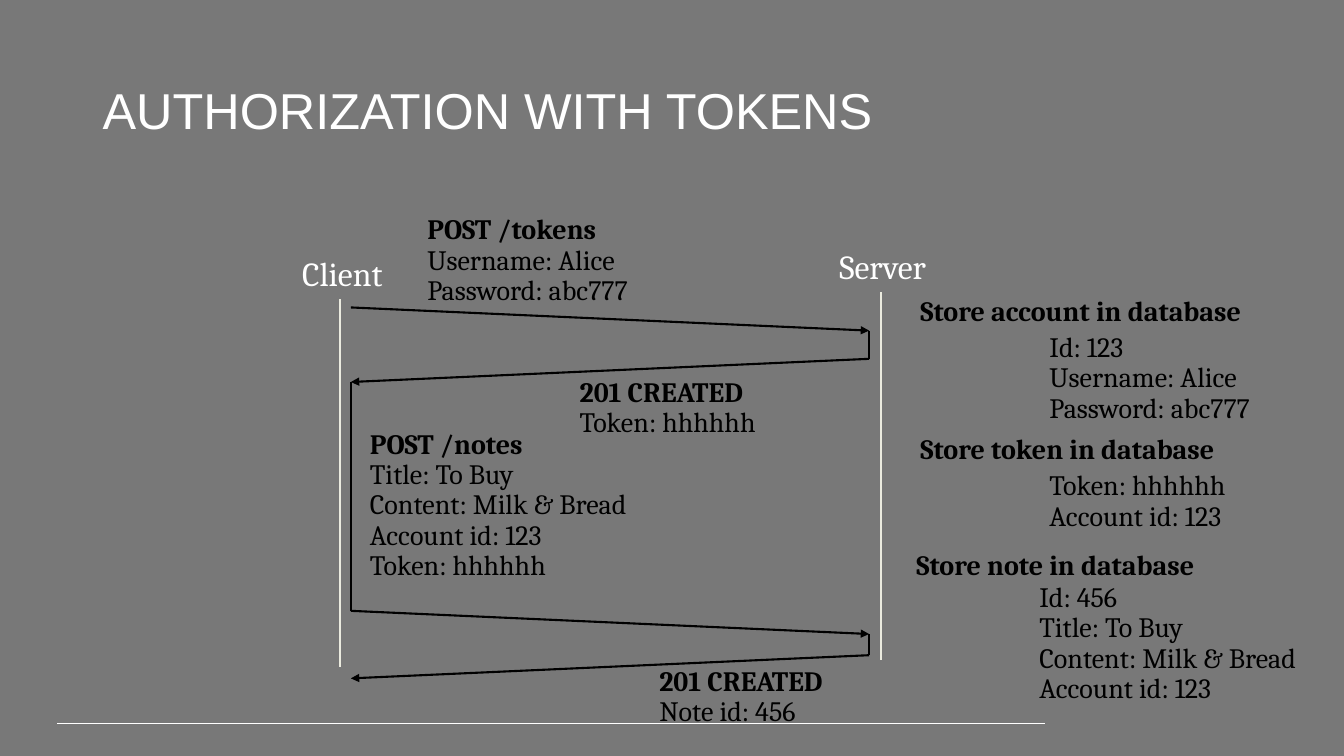
from lxml.etree import SubElement
from pptx import Presentation
from pptx.dml.color import RGBColor
from pptx.enum.shapes import MSO_CONNECTOR as Connector
from pptx.enum.text import MSO_ANCHOR as Anchor, PP_ALIGN as Align
from pptx.oxml.ns import qn
from pptx.util import Inches, Pt

COLORS = {
    "background": "787878",
    "light": "FFFFFF",
    "lifeline": "EBEBDF",
    "ink": "000000",
}
LINE_HEIGHT = 0.3
SLANT = 0.23  # drop of a message on its way across


def add_text(slide, box, lines, size=20, font="Cambria", color="ink",
             bold_lines=0, align=Align.LEFT, anchor=Anchor.TOP):
    """Place lines in one paragraph, the first bold_lines of them bold."""
    shape = slide.shapes.add_textbox(*(Inches(value) for value in box))
    frame = shape.text_frame
    frame.word_wrap = True
    frame.vertical_anchor = anchor
    paragraph = frame.paragraphs[0]
    paragraph.alignment = align
    paragraph.line_spacing = 0.9
    for index, line in enumerate(lines):
        if index:
            paragraph.add_line_break()
        run = paragraph.add_run()
        run.text = line
        run.font.name = font
        run.font.size = Pt(size)
        run.font.bold = index < bold_lines
        run.font.color.rgb = RGBColor.from_string(COLORS[color])


def add_line(slide, start, end, color="ink", width=1.5, arrow=False):
    points = (Inches(value) for value in (*start, *end))
    connector = slide.shapes.add_connector(Connector.STRAIGHT, *points)
    connector.line.color.rgb = RGBColor.from_string(COLORS[color])
    connector.line.width = Pt(width)
    if arrow:
        SubElement(connector.line._get_or_add_ln(), qn("a:tailEnd"), type="triangle")
    SubElement(connector._element.spPr, qn("a:effectLst"))


def add_block(slide, left, top, lines, width=3.02, bold_lines=0):
    """Text box whose height follows from its number of lines."""
    box = (left, top, width, 0.1 + LINE_HEIGHT * len(lines))
    add_text(slide, box, lines, bold_lines=bold_lines)


def add_frame(slide, title_box):
    add_line(slide, (0.57, 7.18), (10.36, 7.18), color="light", width=0.75)
    add_text(slide, title_box, ["AUTHORIZATION WITH TOKENS"], size=36,
             font="Arial", color="light", anchor=Anchor.MIDDLE)


def add_participant(slide, name, left, top):
    """Name with its lifeline below."""
    width, height, length = 1.75, 0.46, 3.65
    add_text(slide, (left, top, width, height), [name], size=24,
             color="light", align=Align.CENTER)
    middle, start = left + width / 2 - 0.02, top + height
    add_line(slide, (middle, start), (middle, start + length), color="lifeline")


def add_exchange(slide, left, top, width, turnaround):
    """Request, server-side turnaround and response."""
    right = left + width
    arrival = top + SLANT
    reply = arrival + turnaround
    add_line(slide, (left, top), (right, arrival), arrow=True)
    add_line(slide, (right, arrival), (right, reply))
    add_line(slide, (right, reply), (left, reply + SLANT), arrow=True)


def add_sequence(slide, left, top, width):
    second = top + 3.01
    add_exchange(slide, left, top, width, 0.28)
    add_line(slide, (left, top + 0.74), (left, second))
    add_exchange(slide, left, second, width, 0.21)
    messages = [
        (0.66, -0.96, ["POST /tokens", "Username: Alice", "Password: abc777"]),
        (2.17, 0.65, ["201 CREATED", "Token: hhhhhh"]),
        (0.09, 1.17, ["POST /notes", "Title: To Buy", "Content: Milk & Bread",
                      "Account id: 123", "Token: hhhhhh"]),
        (2.96, 3.52, ["201 CREATED", "Note id: 456"]),
    ]
    for across, down, lines in messages:
        add_block(slide, left + across, top + down, lines, bold_lines=1)


def add_record(slide, left, top, heading, fields, indent=1.28, drop=0.36):
    """Database step: bold heading and indented fields."""
    add_block(slide, left, top, [heading], width=4.01, bold_lines=1)
    add_block(slide, left + indent, top + drop, fields)


def main():
    presentation = Presentation()
    presentation.slide_width = Inches(13.33)
    presentation.slide_height = Inches(7.5)
    slide = presentation.slides.add_slide(presentation.slide_layouts[6])
    fill = slide.background.fill
    fill.solid()
    fill.fore_color.rgb = RGBColor.from_string(COLORS["background"])

    # Title and footer rule
    add_frame(slide, (0.92, 0.4, 11.97, 1.45))

    # Client and server with the messages between them
    add_participant(slide, "Client", 2.52, 2.51)
    add_participant(slide, "Server", 7.88, 2.44)
    add_sequence(slide, 3.48, 3.05, 5.14)

    # Database steps
    add_record(slide, 9.03, 2.9, "Store account in database",
               ["Id: 123", "Username: Alice", "Password: abc777"])
    add_record(slide, 9.03, 4.27, "Store token in database",
               ["Token: hhhhhh", "Account id: 123"])
    add_record(slide, 8.99, 5.42, "Store note in database",
               ["Id: 456", "Title: To Buy", "Content: Milk & Bread",
                "Account id: 123"], indent=1.22, drop=0.32)

    presentation.save("out.pptx")


if __name__ == "__main__":
    main()
